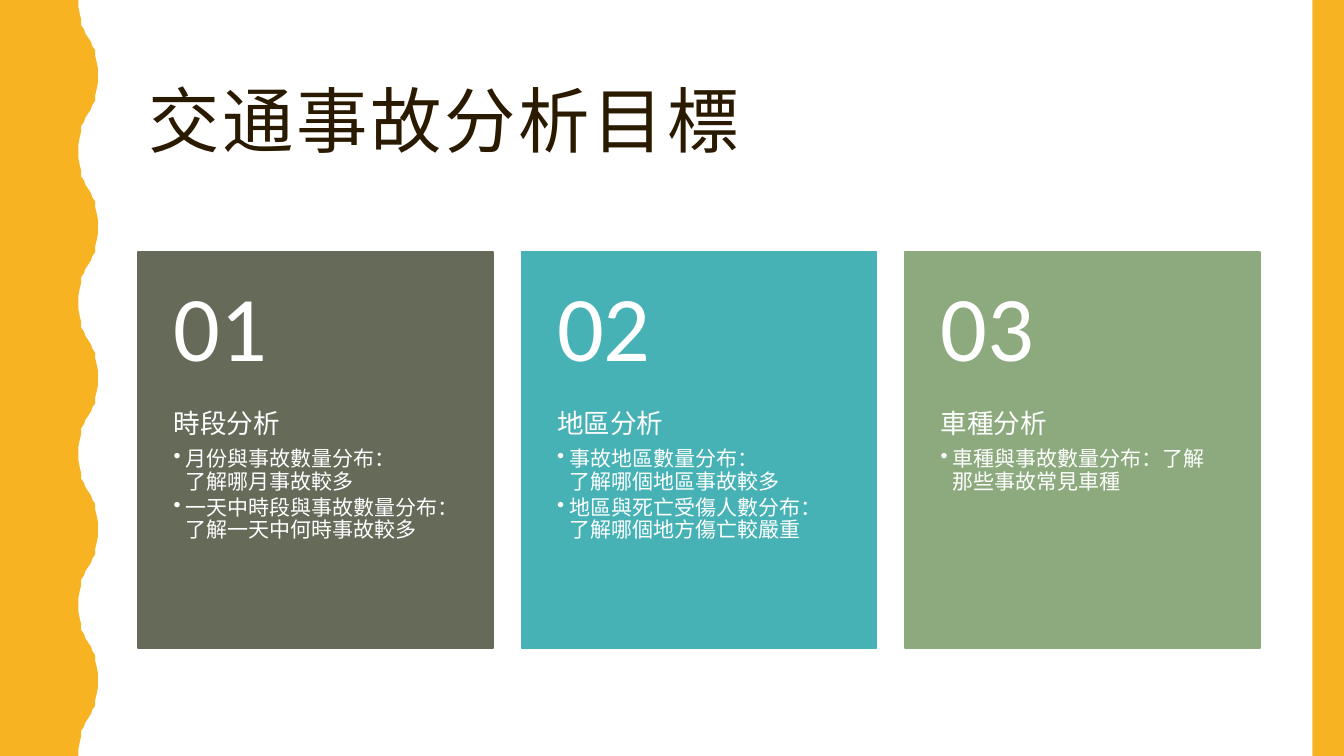
import pptx
import pptx.dml.color
import pptx.enum.shapes
import pptx.enum.text
import pptx.oxml
import pptx.util

Pt = pptx.util.Pt
RGB = pptx.dml.color.RGBColor
ANCHOR = pptx.enum.text.MSO_ANCHOR
RECT = pptx.enum.shapes.MSO_SHAPE.RECTANGLE

GOLD = RGB(0xF8, 0xB3, 0x23)
BROWN = RGB(0x2A, 0x1A, 0x00)
WHITE = RGB(0xFF, 0xFF, 0xFF)
OLIVE = RGB(0x65, 0x6A, 0x59)
TEAL = RGB(0x46, 0xB2, 0xB5)
GREEN = RGB(0x8C, 0xAA, 0x7E)

# Content
TITLE = "交通事故分析目標"
CARDS = [
    (OLIVE, "01", "時段分析",
     ["月份與事故數量分布：\n了解哪月事故較多",
      "一天中時段與事故數量分布：了解一天中何時事故較多"]),
    (TEAL, "02", "地區分析",
     ["事故地區數量分布：\n了解哪個地區事故較多",
      "地區與死亡受傷人數分布：了解哪個地方傷亡較嚴重"]),
    (GREEN, "03", "車種分析",
     ["車種與事故數量分布：了解那些事故常見車種"]),
]

# Layout
WIDE, HIGH = 960, 540
LEFT, TOP = 98.7, 180
CARD_W, CARD_H, STEP = 253.5, 283, 273.9
HEAD_H = 113.2
PAD = 25.4
INDENT = 8.7
BAR_X = 937.5

# First quarter of one wave, whose height is 108
CURVE = [(56, 0), (56.4, 5), (57, 10), (57.6, 14.4),
         (58.4, 18), (59.8, 21), (61.2, 24), (63, 27)]
WAVES, WAVE_H = 5, 108


def paint(shape, color):
    shape.shadow.inherit = False
    shape.fill.solid()
    shape.fill.fore_color.rgb = color
    shape.line.fill.background()


def add_rect(x, y, w, h, color):
    rect = slide.shapes.add_shape(RECT, Pt(x), Pt(y), Pt(w), Pt(h))
    paint(rect, color)
    return rect


def add_box(x, y, h, above, below, anchor):
    frame = slide.shapes.add_textbox(Pt(x), Pt(y), Pt(CARD_W), Pt(h)).text_frame
    frame.word_wrap = True
    frame.vertical_anchor = anchor
    frame.margin_left = frame.margin_right = Pt(PAD)
    frame.margin_top, frame.margin_bottom = Pt(above), Pt(below)
    return frame


def style(para, text, size, after):
    para.text = text
    para.line_spacing = 0.9
    para.space_after = Pt(after)
    para.font.size = Pt(size)
    para.font.name = "Calibri"
    para.font.color.rgb = WHITE


def add_bullet(para):
    props = para._p.get_or_add_pPr()
    props.set("marL", str(Pt(INDENT)))
    props.set("indent", str(-Pt(INDENT)))
    mark = pptx.oxml.parse_xml(
        '<a:buChar xmlns:a="http://schemas.openxmlformats.org/'
        'drawingml/2006/main" char="•"/>')
    props.insert_element_before(mark, "a:tabLst", "a:defRPr", "a:extLst")


deck = pptx.Presentation()
deck.slide_width, deck.slide_height = Pt(WIDE), Pt(HIGH)
slide = deck.slides.add_slide(deck.slide_layouts[5])
slide.background.fill.solid()
slide.background.fill.fore_color.rgb = WHITE

# Title
title = slide.shapes.title
title.left, title.top = Pt(LEFT), Pt(30)
title.width, title.height = Pt(801.5), Pt(117.5)
frame = title.text_frame
frame.text = TITLE
frame.auto_size = pptx.enum.text.MSO_AUTO_SIZE.NONE
frame.vertical_anchor = ANCHOR.MIDDLE
para = frame.paragraphs[0]
para.alignment = pptx.enum.text.PP_ALIGN.LEFT
para.line_spacing = 0.9
para.font.size = Pt(51)
para.font.name = "Roboto Condensed"
para.font.color.rgb = BROWN
para.runs[0].font._element.set("spc", "200")

# Wavy left edge: turn the quarter into a half, mirror it, then repeat
half = CURVE + [(126 - x, 54 - y) for x, y in CURVE[-2::-1]]
wave = half + [(x, WAVE_H - y) for x, y in half[-2::-1]]
edge = [(x, y + WAVE_H * i) for i in range(WAVES) for x, y in wave]
build = slide.shapes.build_freeform(0, 0, scale=Pt(1))
build.add_line_segments(edge + [(0, HIGH)], close=True)
paint(build.convert_to_shape(), GOLD)

# Right bar
add_rect(BAR_X, 0, WIDE - BAR_X, HIGH, GOLD)

# Cards
for i, (color, number, head, points) in enumerate(CARDS):
    x = LEFT + STEP * i
    card = add_rect(x, TOP, CARD_W, CARD_H, color)
    card.line.color.rgb = color
    card.line.width = Pt(1)

    body = add_box(x, TOP + HEAD_H, CARD_H - HEAD_H, 0, PAD, ANCHOR.TOP)
    style(body.paragraphs[0], head, 19, 6.65)
    for point in points:
        para = body.add_paragraph()
        para.level = 1
        style(para, point, 15, 2.25)
        add_bullet(para)

    top = add_box(x, TOP, HEAD_H, 13, 13, ANCHOR.MIDDLE)
    style(top.paragraphs[0], number, 66, 0)

deck.save("out.pptx")
